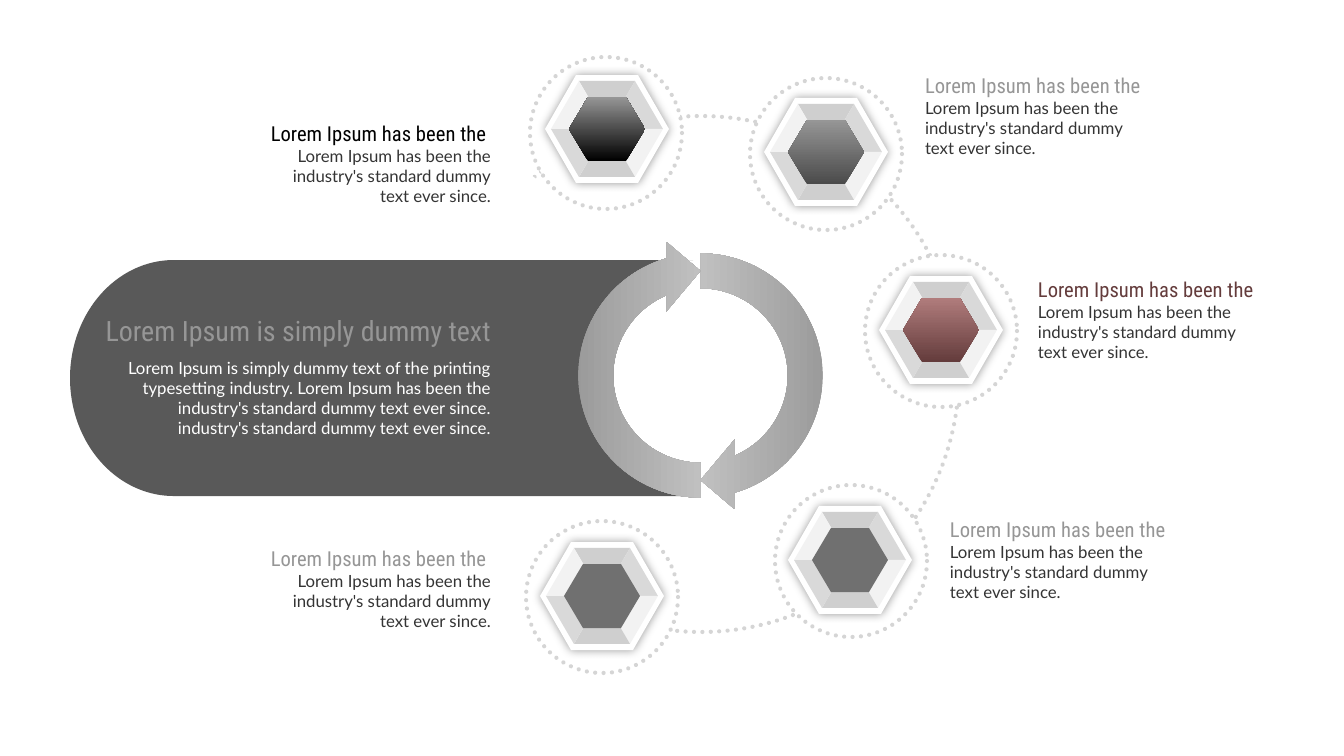
from dataclasses import dataclass
from typing import Optional

from lxml.etree import SubElement
from pptx import Presentation
from pptx.dml.color import RGBColor
from pptx.enum.dml import MSO_LINE
from pptx.enum.shapes import MSO_SHAPE
from pptx.enum.text import MSO_ANCHOR, PP_ALIGN
from pptx.oxml.ns import qn
from pptx.shapes.autoshape import Shape
from pptx.slide import Slide
from pptx.util import Emu, Pt

EMU_PER_PX = 914400 / 100.8


@dataclass(frozen=True)
class Theme:
    white: str = "FFFFFF"
    black: str = "000000"
    panel: str = "595959"
    dots: str = "D5D5D5"
    silver: str = "C0C0C0"
    pale: str = "EAEAEA"
    grey: str = "969696"
    dark_grey: str = "4B4B4B"
    core_grey: str = "707070"
    maroon: str = "643C3C"
    rose: str = "B07C7C"
    body: str = "343434"
    facet_flat: str = "BFBFBF"
    facet_mid: str = "D9D9D9"
    facet_light: str = "F2F2F2"
    heading_font: str = "Roboto Condensed"
    body_font: str = "Lato"
    headline_size: float = 20
    heading_size: float = 14.7
    body_size: float = 12
    dot_width: float = 3
    mask_width: float = 20


THEME = Theme()


@dataclass(frozen=True)
class Box:
    left: int
    top: int
    width: int
    height: int

    def emu(self) -> tuple[Emu, ...]:
        return tuple(px(side) for side in (self.left, self.top, self.width, self.height))


@dataclass(frozen=True)
class Line:
    text: str
    size: float
    font: str
    color: str


@dataclass(frozen=True)
class Node:
    """One station: ring centre, hexagon centre, label corner and colours."""
    ring: tuple[int, int]
    hexagon: tuple[int, int]
    label: tuple[int, int]
    heading_color: str
    core_bottom: str
    core_top: Optional[str] = None
    align: PP_ALIGN = PP_ALIGN.LEFT


RING_SIZE = 152
LABEL_SIZE = (223, 89)
OUTER_HALF, FACET_HALF, CORE_HALF = (62, 54), (56, 48), (38, 32)
FACETS = [
    (THEME.facet_flat, 75),
    (THEME.facet_mid, 100),
    (THEME.facet_light, 100),
] * 2

NODES = [
    Node((606, 133), (607, 129), (268, 119), THEME.black, THEME.black, THEME.grey, PP_ALIGN.RIGHT),
    Node((826, 154), (826, 152), (925, 71), THEME.grey, THEME.dark_grey, THEME.grey),
    Node((941, 331), (941, 330), (1038, 275), THEME.maroon, THEME.maroon, THEME.rose),
    Node((851, 561), (850, 560), (950, 515), THEME.grey, THEME.core_grey),
    Node((602, 597), (602, 596), (268, 544), THEME.grey, THEME.core_grey, align=PP_ALIGN.RIGHT),
]


def px(length: float) -> Emu:
    return Emu(round(length * EMU_PER_PX))


def paint(shape: Shape, color: Optional[str], opacity: int = 100) -> None:
    shape.shadow.inherit = False
    shape.line.fill.background()
    if color is None:
        shape.fill.background()
        return
    shape.fill.solid()
    shape.fill.fore_color.rgb = RGBColor.from_string(color)
    if opacity < 100:
        srgb = next(shape._element.spPr.iter(qn("a:srgbClr")))
        SubElement(srgb, qn("a:alpha"), val=str(opacity * 1000))


def paint_gradient(shape: Shape, colors: list[str], angle: int) -> None:
    """Spread the colours evenly; the angle runs counter-clockwise."""
    paint(shape, None)
    shape.fill.gradient()
    shape.fill.gradient_angle = angle
    stops = next(shape._element.spPr.iter(qn("a:gsLst")))
    for stop in list(stops):
        stops.remove(stop)
    for index, color in enumerate(colors):
        position = round(100000 * index / (len(colors) - 1))
        stop = SubElement(stops, qn("a:gs"), pos=str(position))
        SubElement(stop, qn("a:srgbClr"), val=color)


def add_glow(shape: Shape) -> None:
    effects = shape._element.spPr.find(qn("a:effectLst"))
    shadow = SubElement(effects, qn("a:outerShdw"), blurRad=str(Pt(7)), dist="0", algn="ctr", rotWithShape="0")
    color = SubElement(shadow, qn("a:srgbClr"), val=THEME.black)
    SubElement(color, qn("a:alpha"), val="40000")


def add_preset(page: Slide, kind: MSO_SHAPE, box: Box, rotation: int = 0, fill: Optional[str] = None) -> Shape:
    shape = page.shapes.add_shape(kind, *box.emu())
    shape.rotation = rotation
    paint(shape, fill)
    return shape


def add_dotted_circle(page: Slide, box: Box, fill: Optional[str] = None) -> None:
    circle = add_preset(page, MSO_SHAPE.OVAL, box, 180, fill)
    circle.line.color.rgb = RGBColor.from_string(THEME.dots)
    circle.line.width = Pt(THEME.dot_width)
    circle.line.dash_style = MSO_LINE.ROUND_DOT
    circle._element.spPr.find(qn("a:ln")).set("cap", "rnd")


def add_polygon(page: Slide, points: list[tuple[int, int]]) -> Shape:
    builder = page.shapes.build_freeform(*points[0], scale=EMU_PER_PX)
    builder.add_line_segments(points[1:], close=True)
    return builder.convert_to_shape()


def hexagon_corners(center: tuple[int, int], half: tuple[int, int]) -> list[tuple[int, int]]:
    """Corners clockwise from the upper left."""
    (x, y), (wide, tall) = center, half
    short = wide // 2
    return [(x - short, y - tall), (x + short, y - tall), (x + wide, y),
            (x + short, y + tall), (x - short, y + tall), (x - wide, y)]


def add_text(page: Slide, box: Box, lines: list[Line], align: PP_ALIGN) -> None:
    frame = page.shapes.add_textbox(*box.emu()).text_frame
    frame.word_wrap = True
    frame.vertical_anchor = MSO_ANCHOR.MIDDLE
    frame.margin_left = frame.margin_top = frame.margin_right = frame.margin_bottom = 0
    frame.text = "\n".join(line.text for line in lines)
    for para, line in zip(frame.paragraphs, lines):
        para.alignment = align
        for span in para.runs:
            span.font.size = Pt(line.size)
            span.font.name = line.font
            span.font.color.rgb = RGBColor.from_string(line.color)


def body_line(text: str, color: str) -> Line:
    return Line(text, THEME.body_size, THEME.body_font, color)


def add_backdrop(page: Slide) -> None:
    """Dotted orbit, the mask over its left side, the panel and the arrows."""
    add_dotted_circle(page, Box(443, 116, 516, 516))
    mask = add_preset(page, MSO_SHAPE.ARC, Box(477, 15, 513, 621), 217)
    mask.adjustments[0], mask.adjustments[1] = 162, 215.77
    mask.line.color.rgb = RGBColor.from_string(THEME.white)
    mask.line.width = Pt(THEME.mask_width)
    add_preset(page, MSO_SHAPE.FLOWCHART_STORED_DATA, Box(70, 260, 623, 236), fill=THEME.panel)
    for rotation, end_color in ((90, THEME.dots), (270, THEME.pale)):
        arrow = add_preset(page, MSO_SHAPE.CIRCULAR_ARROW, Box(561, 236, 279, 279), rotation)
        paint_gradient(arrow, [THEME.grey, THEME.silver, end_color], 270)


def add_panel_text(page: Slide) -> None:
    add_text(page, Box(122, 363, 369, 70), [
        body_line("Lorem Ipsum is simply dummy text of the printing typesetting industry. "
                  "Lorem Ipsum has been the industry's standard dummy text ever since.", THEME.white),
        body_line("industry's standard dummy text ever since.", THEME.white),
    ], PP_ALIGN.RIGHT)
    headline = Line("Lorem Ipsum is simply dummy text", THEME.headline_size, THEME.heading_font, THEME.grey)
    add_text(page, Box(100, 311, 391, 39), [headline], PP_ALIGN.RIGHT)


def add_node(page: Slide, node: Node) -> None:
    ring_x, ring_y = (middle - RING_SIZE // 2 for middle in node.ring)
    add_dotted_circle(page, Box(ring_x, ring_y, RING_SIZE, RING_SIZE), THEME.white)
    heading = "Lorem Ipsum has been the" + (" " if node.align == PP_ALIGN.RIGHT else "")
    add_text(page, Box(*node.label, *LABEL_SIZE), [
        Line(heading, THEME.heading_size, THEME.heading_font, node.heading_color),
        body_line("Lorem Ipsum has been the industry's standard dummy", THEME.body),
        body_line("text ever since.", THEME.body),
    ], node.align)
    rim = add_polygon(page, hexagon_corners(node.hexagon, OUTER_HALF))
    paint(rim, THEME.white)
    add_glow(rim)
    corners = hexagon_corners(node.hexagon, FACET_HALF)
    for start, end, (color, opacity) in zip(corners, corners[1:] + corners[:1], FACETS):
        paint(add_polygon(page, [node.hexagon, start, end]), color, opacity)
    core = add_polygon(page, hexagon_corners(node.hexagon, CORE_HALF))
    if node.core_top:
        paint_gradient(core, [node.core_bottom, node.core_top], 90)
    else:
        paint(core, node.core_bottom)


def main() -> None:
    deck = Presentation()
    deck.slide_width, deck.slide_height = px(1344), px(756)
    page = deck.slides.add_slide(deck.slide_layouts[6])
    add_backdrop(page)
    add_panel_text(page)
    for node in NODES:
        add_node(page, node)
    deck.save("out.pptx")


if __name__ == "__main__":
    main()
